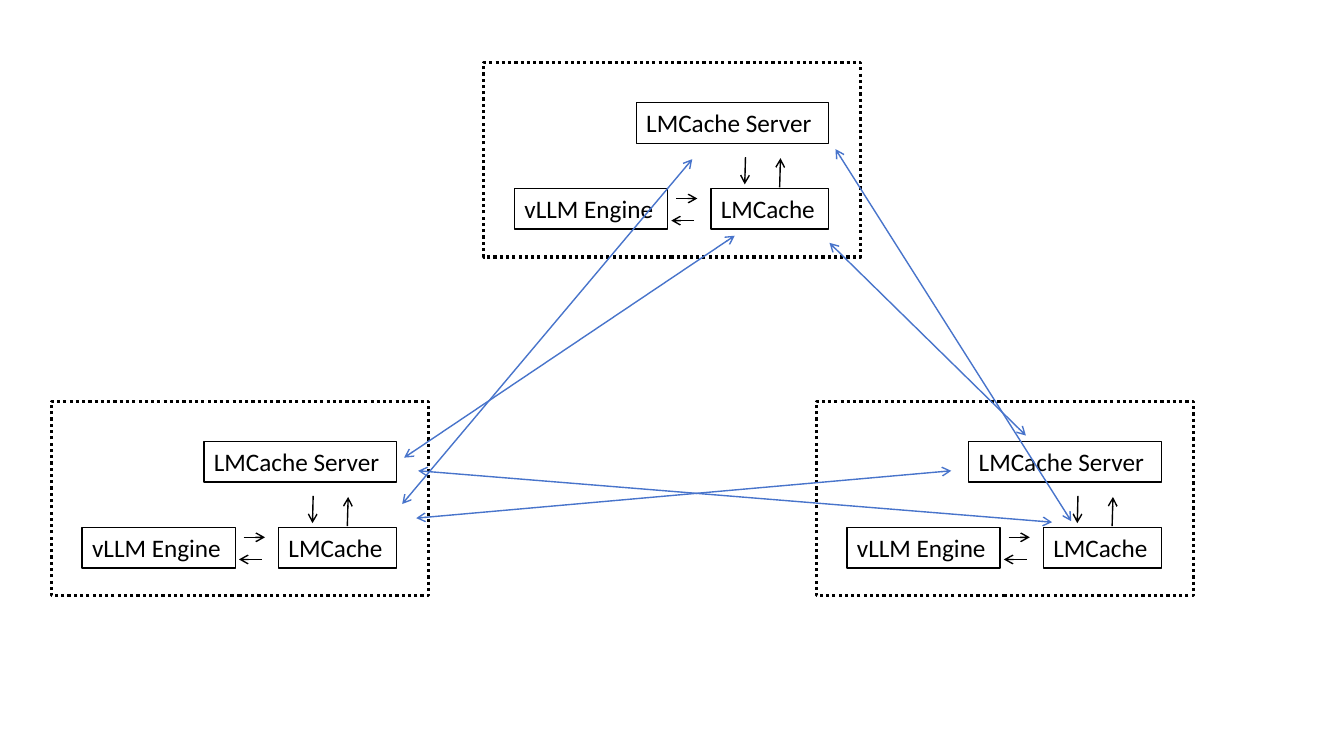
from lxml.etree import SubElement
from pptx import Presentation
from pptx.dml.color import RGBColor
from pptx.enum.dml import MSO_LINE
from pptx.enum.shapes import MSO_CONNECTOR, MSO_SHAPE
from pptx.enum.text import MSO_ANCHOR, MSO_AUTO_SIZE, PP_ALIGN
from pptx.oxml.ns import qn
from pptx.util import Pt

HUES = {"ink": "000000", "link": "4874CB"}
FRAME = {"width": Pt(2.25), "dash_style": MSO_LINE.ROUND_DOT}
THIN = {"width": Pt(1)}
BODY = {"word_wrap": True, "auto_size": MSO_AUTO_SIZE.SHAPE_TO_FIT_TEXT,
        "vertical_anchor": MSO_ANCHOR.TOP}
FONT = {"name": "Calibri", "size": Pt(18)}

SIZE = (269.3, 139)
NODES = {"left": (36.7, 286.6), "top": (345.5, 44.6), "right": (583, 286.6)}
PARTS = [
    ("vLLM Engine", 22, 90, 109.4),
    ("LMCache", 162.3, 90, 84.2),
    ("LMCache Server", 109, 28.8, 137.5),
]
FLOWS = [
    ((137.4, 97.2), (152.6, 97.2)),
    ((150.4, 113), (134, 113)),
    ((211.4, 89.3), (212, 68.4)),
    ((187, 67.7), (186.5, 87.1)),
]
LINKS = [
    ("top", (149, 69.1), "left", (250.6, 73.4)),
    ("right", (96.5, 49.7), "left", (260.6, 83.5)),
    ("right", (149.8, 24.5), "top", (247, 128.9)),
    ("left", (252, 40.3), "top", (179.3, 123.8)),
    ("left", (262, 49.7), "right", (168.5, 86.4)),
    ("top", (251.3, 61.9), "right", (182.2, 85.7)),
]


def style(item, form):
    for key, value in form.items():
        setattr(item, key, value)


def tint(hue):
    return RGBColor.from_string(HUES[hue])


def shift(base, step):
    return base[0] + step[0], base[1] + step[1]


def add_box(slide, spot, size, form):
    box = slide.shapes.add_shape(
        MSO_SHAPE.RECTANGLE, *[Pt(n) for n in (*spot, *size)])
    box.shadow.inherit = False
    box.fill.background()
    box.line.color.rgb = tint("ink")
    style(box.line, form)
    return box


def add_label(slide, spot, width, text):
    box = add_box(slide, spot, (width, 29), THIN)
    frame = box.text_frame
    style(frame, BODY)
    line = frame.paragraphs[0]
    line.alignment = PP_ALIGN.LEFT
    run = line.add_run()
    run.text = text
    style(run.font, FONT)
    run.font.color.rgb = tint("ink")


def add_arrow(slide, start, end, hue, tips):
    arrow = slide.shapes.add_connector(
        MSO_CONNECTOR.STRAIGHT, *[Pt(n) for n in (*start, *end)])
    arrow.line.color.rgb = tint(hue)
    style(arrow.line, THIN)
    props = arrow._element.spPr
    for tip in tips:
        SubElement(props.find(qn("a:ln")), qn(tip), type="arrow")
    SubElement(props, qn("a:effectLst"))


def add_node(slide, base):
    add_box(slide, base, SIZE, FRAME)
    for text, left, top, width in PARTS:
        add_label(slide, shift(base, (left, top)), width, text)
    for start, end in FLOWS:
        add_arrow(slide, shift(base, start), shift(base, end),
                  "ink", ["a:tailEnd"])


def add_links(slide, nodes):
    for first, start, last, end in LINKS:
        add_arrow(slide, shift(nodes[first], start), shift(nodes[last], end),
                  "link", ["a:headEnd", "a:tailEnd"])


def main():
    deck = Presentation()
    style(deck, {"slide_width": Pt(960), "slide_height": Pt(540)})
    slide = deck.slides.add_slide(deck.slide_layouts[6])
    for base in NODES.values():
        add_node(slide, base)
    add_links(slide, NODES)
    deck.save("out.pptx")


if __name__ == "__main__":
    main()
